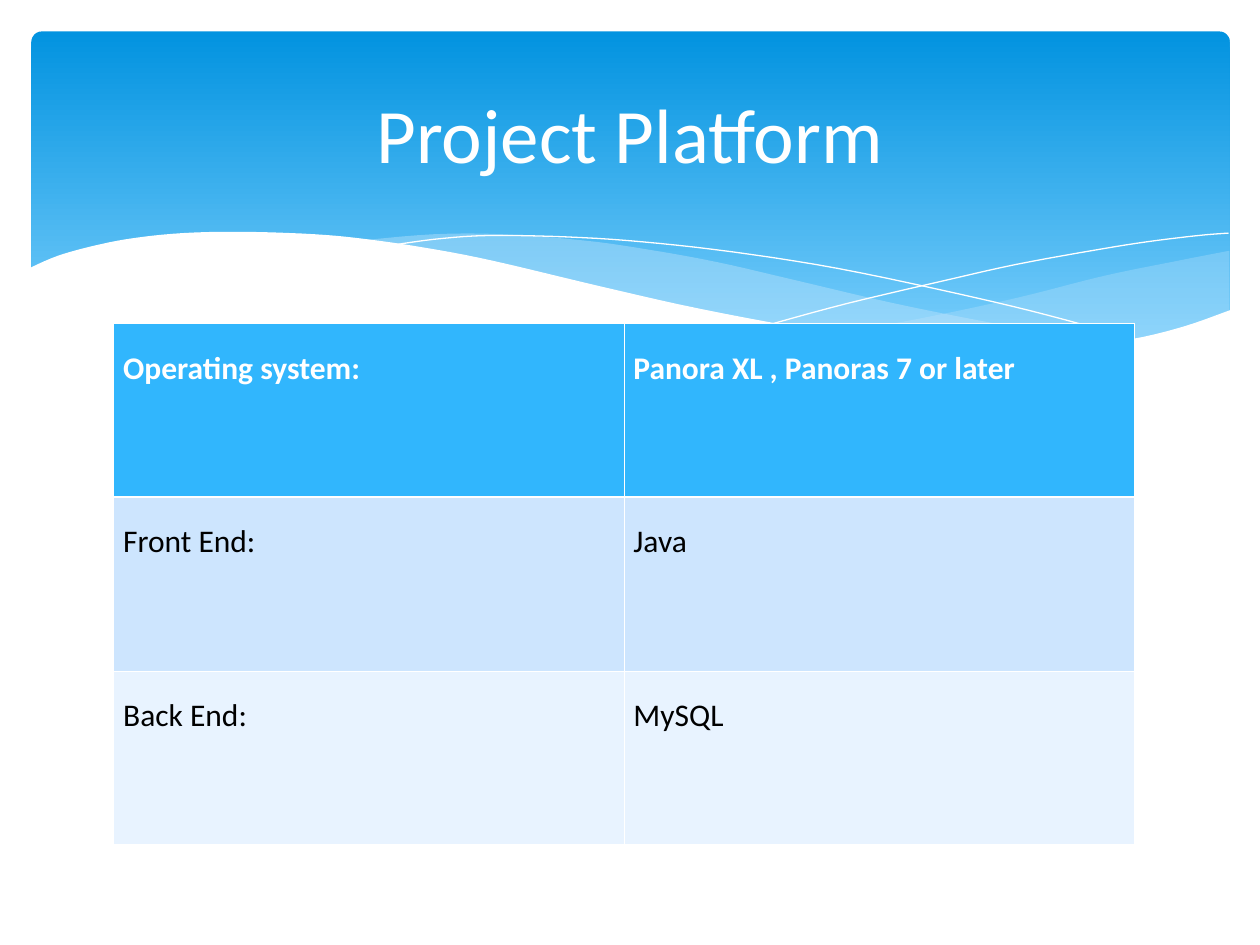
from lxml import etree
from pptx import Presentation
from pptx.dml.color import RGBColor
from pptx.enum.shapes import MSO_SHAPE
from pptx.enum.text import MSO_ANCHOR, PP_ALIGN
from pptx.oxml.ns import qn
from pptx.util import Pt

FONT = "Calibri"
WHITE = RGBColor(0xFF, 0xFF, 0xFF)
BLACK = RGBColor(0x00, 0x00, 0x00)
BAND_TOP = RGBColor(0x02, 0x93, 0xE0)
BAND_BOTTOM = RGBColor(0x83, 0xD3, 0xFE)
MIST = RGBColor(0xC6, 0xE7, 0xFC)
HEADER_FILL = RGBColor(0x31, 0xB6, 0xFD)
ROW_FILLS = [HEADER_FILL, RGBColor(0xCD, 0xE5, 0xFE), RGBColor(0xE8, 0xF3, 0xFF)]

PLATFORM = [
    ("Operating system:", "Panora XL , Panoras 7 or later "),
    ("Front End:", "Java"),
    ("Back End:", "MySQL"),
]

# Knots of the wave edges, in points from the corner of the wave area
RIGHT_MIST_TOP = [(686, 11.3), (656.7, 17), (614.2, 25.7), (563.1, 38.6),
                  (508.4, 50.2), (459.4, 58.8)]
RIGHT_MIST_BOTTOM = [(459.4, 58.8), (491.1, 63.1), (528.5, 66.7), (569.6, 68.2),
                     (604.9, 66), (635.1, 61.7), (661.7, 54.5), (686, 45.8)]
LEFT_MIST_TOP = [(626.5, 64.6), (586.1, 58.8), (541.5, 50.9), (491.8, 40.8),
                 (436.4, 27.8), (393.2, 17.8), (353.6, 10.6), (317.6, 5.5),
                 (270.8, 1.9), (231.2, 1.9), (189.4, 5.5)]
LEFT_MIST_BOTTOM = [(189.4, 5.5), (229.7, 11.3), (274.4, 19.9), (337, 35),
                    (391, 46.6), (440, 55.9), (483.9, 62.4), (531.4, 67.4),
                    (572.5, 68.2), (600.5, 67.4), (626.5, 64.6)]
FALLING_LINE = [(206, 8.4), (231.2, 4.8), (262.1, 2.6), (307.5, 3.4),
                (350.7, 6.2), (402.5, 12), (462.3, 21.4), (530.7, 35.8),
                (581.8, 48), (636.5, 63.1)]
RISING_LINE = [(424.9, 53), (467.3, 41.5), (522.1, 28.6), (563.8, 19.2),
               (607, 11.3), (638.7, 6.2), (668.2, 2.6), (685.5, 1.2)]
FRONT_WAVE = [(686.9, 45.1), (660.3, 54.5), (630.8, 61.7), (595.5, 66),
              (554.5, 66.7), (506.2, 63.8), (449.3, 56.6), (383.1, 44.4),
              (325.5, 31.4), (265, 17), (227.6, 9.8), (193.7, 4.8),
              (163.5, 1.9), (122.5, 0.5), (88.6, 1.2), (59.8, 4.1),
              (37.5, 8.4), (16.6, 14.2), (0, 21.4)]
FRONT_BASE = [(0, 104.9), (686.9, 104.9)]


def smooth_curve(knots, steps=5):
    """Return points of a Catmull-Rom spline through the knots."""
    padded = [knots[0], *knots, knots[-1]]
    points = [knots[0]]
    for a, b, c, d in zip(padded, padded[1:], padded[2:], padded[3:]):
        for step in range(1, steps + 1):
            t = step / steps
            points.append(tuple(
                0.5 * (2 * q + (r - p) * t + (2 * p - 5 * q + 4 * r - s) * t**2
                       + (3 * q - p - 3 * r + s) * t**3)
                for p, q, r, s in zip(a, b, c, d)))
    return points


def add_outline(slide, left, top, points, close):
    vertices = [(Pt(x), Pt(y)) for x, y in points]
    builder = slide.shapes.build_freeform(*vertices[0], scale=1.0)
    builder.add_line_segments(vertices[1:], close=close)
    shape = builder.convert_to_shape(Pt(left), Pt(top))
    shape.shadow.inherit = False
    return shape


def add_wave(slide, left, top, points, color, opacity=100):
    shape = add_outline(slide, left, top, points, close=True)
    shape.fill.solid()
    shape.fill.fore_color.rgb = color
    shape.line.fill.background()
    if opacity < 100:
        color_element = shape.fill._xPr.find(qn("a:solidFill"))[0]
        etree.SubElement(color_element, qn("a:alpha"), val=str(opacity * 1000))


def add_wave_line(slide, left, top, points):
    shape = add_outline(slide, left, top, points, close=False)
    shape.fill.background()
    shape.line.color.rgb = WHITE
    shape.line.width = Pt(0)


def add_band(slide, left, top, width, height):
    band = slide.shapes.add_shape(MSO_SHAPE.ROUNDED_RECTANGLE,
                                  Pt(left), Pt(top), Pt(width), Pt(height))
    band.adjustments[0] = 0.03
    band.shadow.inherit = False
    band.line.fill.background()
    band.fill.gradient()
    band.fill.gradient_angle = 270
    for stop, color in zip(band.fill.gradient_stops, (BAND_TOP, BAND_BOTTOM)):
        stop.color.rgb = color


def add_waves(slide, left, top):
    right_mist = smooth_curve(RIGHT_MIST_TOP) + smooth_curve(RIGHT_MIST_BOTTOM)
    left_mist = smooth_curve(LEFT_MIST_TOP) + smooth_curve(LEFT_MIST_BOTTOM)
    add_wave(slide, left, top, right_mist, MIST, opacity=29)
    add_wave(slide, left, top, left_mist, MIST, opacity=40)
    for knots in (FALLING_LINE, RISING_LINE):
        add_wave_line(slide, left, top, smooth_curve(knots))
    add_wave(slide, left, top, smooth_curve(FRONT_WAVE) + FRONT_BASE, WHITE)


def add_text(paragraph, text, size, color, bold=False):
    run = paragraph.add_run()
    run.text = text
    run.font.name = FONT
    run.font.size = Pt(size)
    run.font.bold = bold
    run.font.color.rgb = color


def set_border(cell, side, width):
    line = etree.SubElement(cell._tc.get_or_add_tcPr(), qn(f"a:ln{side}"),
                            w=str(Pt(width)))
    fill = etree.SubElement(line, qn("a:solidFill"))
    etree.SubElement(fill, qn("a:srgbClr"), val=str(WHITE))


def add_platform_table(slide, left, top, width, height):
    frame = slide.shapes.add_table(len(PLATFORM), len(PLATFORM[0]),
                                   Pt(left), Pt(top), Pt(width), Pt(height))
    for row, texts in enumerate(PLATFORM):
        header = row == 0
        borders = {"L": 0.45, "R": 0.45, "T": 1.47 if row == 1 else 0.45,
                   "B": 1.47 if header else 0.45}
        for column, text in enumerate(texts):
            cell = frame.table.cell(row, column)
            cell.margin_left = cell.margin_right = Pt(5.4)
            cell.margin_top = cell.margin_bottom = Pt(3.6)
            for side, border_width in borders.items():
                set_border(cell, side, border_width)
            cell.fill.solid()
            cell.fill.fore_color.rgb = ROW_FILLS[row]
            paragraph = cell.text_frame.paragraphs[0]
            paragraph.alignment = PP_ALIGN.JUSTIFY
            paragraph.line_spacing = 1.5
            paragraph.space_after = Pt(10)
            add_text(paragraph, text, 18, WHITE if header else BLACK, header)


def place_title(slide, left, top, width, height):
    title = slide.shapes.title
    slide.shapes._spTree.append(title._element)  # in front of the band
    title.left, title.top = Pt(left), Pt(top)
    title.width, title.height = Pt(width), Pt(height)
    title.text_frame.vertical_anchor = MSO_ANCHOR.MIDDLE
    paragraph = title.text_frame.paragraphs[0]
    paragraph.alignment = PP_ALIGN.CENTER
    add_text(paragraph, "Project Platform", 44, WHITE)


def main():
    presentation = Presentation()
    presentation.slide_width, presentation.slide_height = Pt(720), Pt(540)
    slide = presentation.slides.add_slide(presentation.slide_layouts[5])
    add_band(slide, 18, 18, 684.7, 194.4)
    add_waves(slide, 16.5, 132)
    add_platform_table(slide, 65, 185, 583.2, 297.6)
    place_title(slide, 36, 26.6, 648, 98.6)
    presentation.save("out.pptx")


if __name__ == "__main__":
    main()
